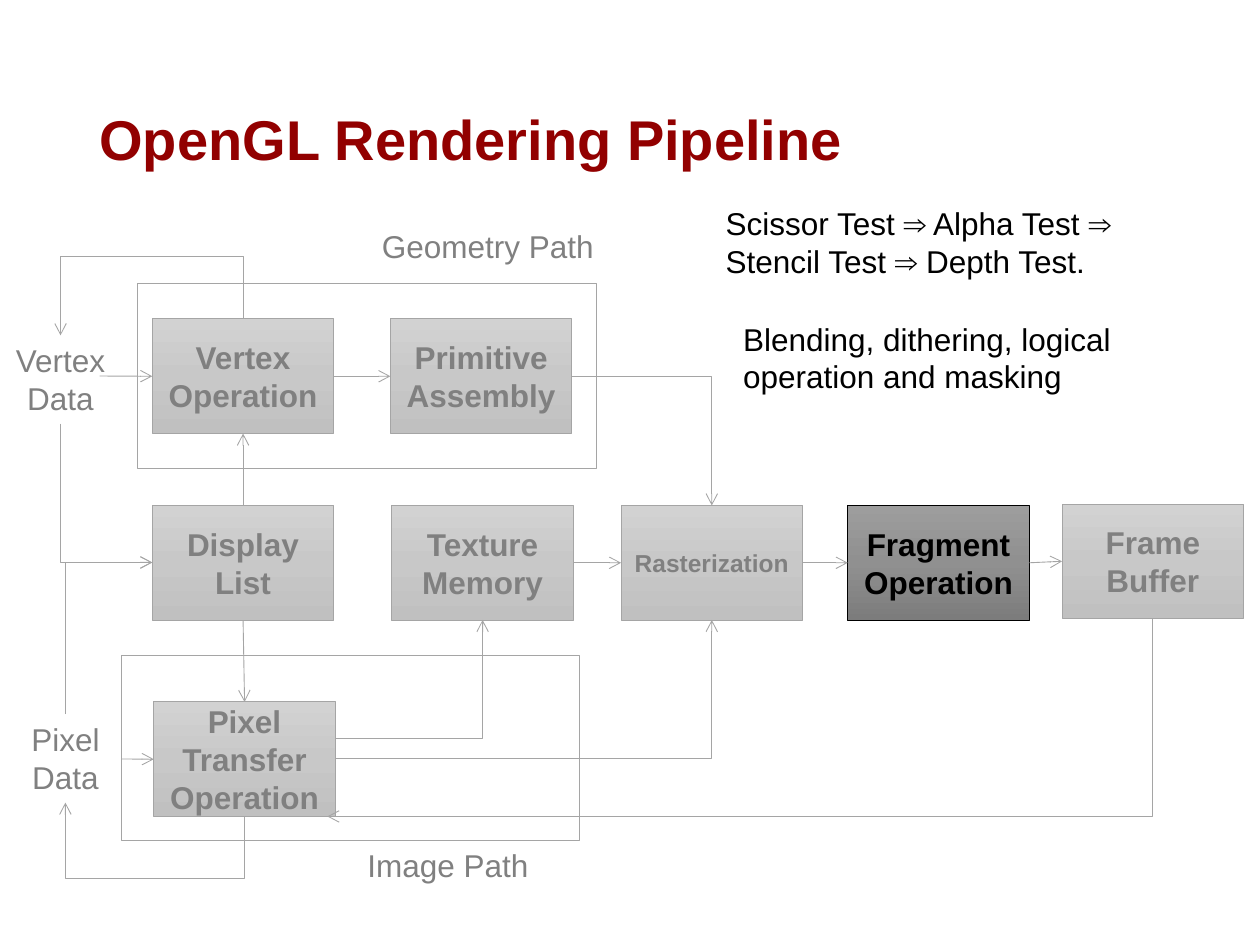
"""Build the OpenGL rendering pipeline slide."""
from copy import deepcopy
from typing import NamedTuple, Optional

from pptx import Presentation
from pptx.dml.color import RGBColor
from pptx.enum.shapes import MSO_CONNECTOR as Link, MSO_SHAPE as Preset
from pptx.enum.text import MSO_ANCHOR as Anchor, MSO_AUTO_SIZE as AutoSize, PP_ALIGN as Align
from pptx.oxml.ns import qn
from pptx.oxml.xmlchemy import OxmlElement
from pptx.util import Cm, Pt

COLORS = {"title": "920000", "muted": "808080", "line": "A5A5A5", "active": "000000"}
GRADIENTS = {"muted": ("D2D2D2", "C8C8C8", "C0C0C0"),
             "active": ("9D9D9D", "909090", "7C7C7C")}
STAGE_W, STAGE_H = 3.66, 2.31
PATH_W, PATH_H = 9.25, 3.73
TOP, LEFT, BOTTOM, RIGHT = range(4)


class Stage(NamedTuple):
    name: str
    left: float
    top: float
    size: int = 18
    active: bool = False


class Label(NamedTuple):
    text: str
    left: float
    top: float
    width: float
    height: float
    align: Align = Align.CENTER
    color: str = "muted"


class Flow(NamedTuple):
    source: str
    source_side: int
    target: str
    target_side: int


class Elbow(NamedTuple):
    x1: float
    y1: float
    x2: float
    y2: float
    vertical_first: bool = False
    bend_y: Optional[float] = None


PATH_FRAMES = [(2.44, 13.21), (2.77, 5.72)]
STAGES = [
    Stage("Vertex Operation", 3.07, 6.43),
    Stage("Primitive Assembly", 7.87, 6.43),
    Stage("Display List", 3.07, 10.19),
    Stage("Texture Memory", 7.9, 10.19),
    Stage("Pixel Transfer Operation", 3.1, 14.15),
    Stage("Rasterization", 12.52, 10.19, size=14),
    Stage("Fragment Operation", 17.09, 10.19, active=True),
    Stage("Frame Buffer", 21.41, 10.16),
]
LABELS = [
    Label("Vertex Data", 0, 6.76, 2.44, 1.8),
    Label("Pixel Data", 0.2, 14.4, 2.24, 1.8),
    Label("Geometry Path", 7.42, 4.45, 4.83, 1.02),
    Label("Image Path", 7.06, 16.94, 3.94, 1.02),
    Label("Scissor Test ⇒ Alpha Test ⇒ Stencil Test ⇒ Depth Test.",
          14.38, 3.99, 9.6, 1.8, Align.LEFT, "active"),
    Label("Blending, dithering, logical operation and masking",
          14.73, 6.32, 9.25, 1.8, Align.LEFT, "active"),
]
FLOWS = [
    Flow("Display List", TOP, "Vertex Operation", BOTTOM),
    Flow("Display List", BOTTOM, "Pixel Transfer Operation", TOP),
    Flow("Vertex Operation", RIGHT, "Primitive Assembly", LEFT),
    Flow("Texture Memory", RIGHT, "Rasterization", LEFT),
    Flow("Rasterization", RIGHT, "Fragment Operation", LEFT),
    Flow("Fragment Operation", RIGHT, "Frame Buffer", LEFT),
]
INPUTS = [(2.01, 7.58, "Vertex Operation"), (2.44, 15.3, "Pixel Transfer Operation")]
ELBOWS = [
    Elbow(1.22, 8.54, 3.07, 11.34, vertical_first=True),
    Elbow(1.32, 14.4, 3.07, 11.34, vertical_first=True),
    Elbow(11.53, 7.58, 14.35, 10.19),
    Elbow(6.78, 14.88, 9.73, 12.5),
    Elbow(6.76, 15.3, 14.35, 12.5),
    Elbow(23.24, 12.47, 6.6, 16.46, vertical_first=True),
    Elbow(4.93, 16.46, 1.32, 16.18, vertical_first=True, bend_y=17.7),
    Elbow(4.9, 6.43, 1.22, 6.76, vertical_first=True, bend_y=5.16),
]


def rgb(name: str) -> RGBColor:
    return RGBColor.from_string(COLORS[name])


def write(frame, text: str, size: int, color: str, align: Align, bold: bool = False):
    """Write one formatted run and return its paragraph."""
    frame.word_wrap = True
    paragraph = frame.paragraphs[0]
    paragraph.alignment = align
    run = paragraph.add_run()
    run.text = text
    run.font.name, run.font.size, run.font.bold = "Arial", Pt(size), bold
    run.font.color.rgb = rgb(color)
    return paragraph


def draw_rectangle(slide, left: float, top: float, width: float, height: float, line: str):
    """Draw a thinly outlined rectangle without a shadow."""
    rectangle = slide.shapes.add_shape(Preset.RECTANGLE, Cm(left), Cm(top), Cm(width), Cm(height))
    rectangle.shadow.inherit = False
    rectangle.line.color.rgb = rgb(line)
    rectangle.line.width = Pt(0.5)
    return rectangle


def draw_stage(slide, stage: Stage):
    """Draw a pipeline stage with a three-stop vertical gradient."""
    tone = "active" if stage.active else "muted"
    box = draw_rectangle(slide, stage.left, stage.top, STAGE_W, STAGE_H,
                         "active" if stage.active else "line")
    box.fill.gradient()
    box.fill.gradient_angle = 270
    stop_list = box._element.spPr.find(".//" + qn("a:gsLst"))
    stop_list.insert(1, deepcopy(stop_list[0]))
    for stop, shade, position in zip(box.fill.gradient_stops, GRADIENTS[tone], (0, 0.5, 1)):
        stop.color.rgb = RGBColor.from_string(shade)
        stop.position = position
    box.text_frame.vertical_anchor = Anchor.MIDDLE
    write(box.text_frame, stage.name, stage.size, tone, Align.CENTER, bold=True)
    return box


def draw_label(slide, label: Label) -> None:
    """Draw a free-standing text label."""
    box = slide.shapes.add_textbox(*map(Cm, label[1:5]))
    write(box.text_frame, label.text, 18, label.color, label.align)
    box.text_frame.auto_size = AutoSize.SHAPE_TO_FIT_TEXT


def draw_arrow(slide, kind: Link, x1: float, y1: float, x2: float, y2: float):
    """Draw a thin connector with an open arrowhead at its end."""
    arrow = slide.shapes.add_connector(kind, Cm(x1), Cm(y1), Cm(x2), Cm(y2))
    arrow.line.color.rgb = rgb("line")
    arrow.line.width = Pt(0.5)
    head = OxmlElement("a:tailEnd")
    head.set("type", "arrow")
    arrow.line._get_or_add_ln().append(head)
    arrow._element.spPr.append(OxmlElement("a:effectLst"))
    return arrow


def draw_elbow(slide, elbow: Elbow) -> None:
    """Draw a bent arrow, turned a quarter when it leaves vertically."""
    x1, y1, x2, y2 = elbow[:4]
    if elbow.vertical_first:
        mid_x, mid_y = (x1 + x2) / 2, (y1 + y2) / 2
        half_x, half_y = (x2 - x1) / 2, (y2 - y1) / 2
        arrow = draw_arrow(slide, Link.ELBOW, mid_x - half_y, mid_y + half_x,
                           mid_x + half_y, mid_y - half_x)
        arrow._element.spPr.find(qn("a:xfrm")).set("rot", "5400000")
    else:
        arrow = draw_arrow(slide, Link.ELBOW, x1, y1, x2, y2)
    geometry = arrow._element.spPr.find(qn("a:prstGeom"))
    if elbow.bend_y is None:
        geometry.set("prst", "bentConnector2")
        return
    guide = OxmlElement("a:gd")
    guide.set("name", "adj1")
    guide.set("fmla", f"val {round((elbow.bend_y - y1) / (y2 - y1) * 100000)}")
    geometry.get_or_add_avLst().append(guide)


def main() -> None:
    deck = Presentation()
    deck.slide_width, deck.slide_height = Cm(25.4), Cm(19.05)
    slide = deck.slides.add_slide(deck.slide_layouts[5])
    title = slide.shapes.title
    title.left, title.top, title.width, title.height = map(Cm, (1.75, 1.02, 21.9, 3.68))
    title.text_frame.vertical_anchor = Anchor.MIDDLE
    write(title.text_frame, "OpenGL Rendering Pipeline", 32, "title", Align.LEFT,
          bold=True).line_spacing = 0.9
    for left, top in PATH_FRAMES:
        draw_rectangle(slide, left, top, PATH_W, PATH_H, "line").fill.background()
    boxes = {stage.name: draw_stage(slide, stage) for stage in STAGES}
    for flow in FLOWS:
        arrow = draw_arrow(slide, Link.STRAIGHT, 0, 0, 1, 1)
        arrow.begin_connect(boxes[flow.source], flow.source_side)
        arrow.end_connect(boxes[flow.target], flow.target_side)
    for x, y, target in INPUTS:
        draw_arrow(slide, Link.STRAIGHT, x, y, x + 1, y).end_connect(boxes[target], LEFT)
    for elbow in ELBOWS:
        draw_elbow(slide, elbow)
    for label in LABELS:
        draw_label(slide, label)
    deck.save("out.pptx")


if __name__ == "__main__":
    main()
